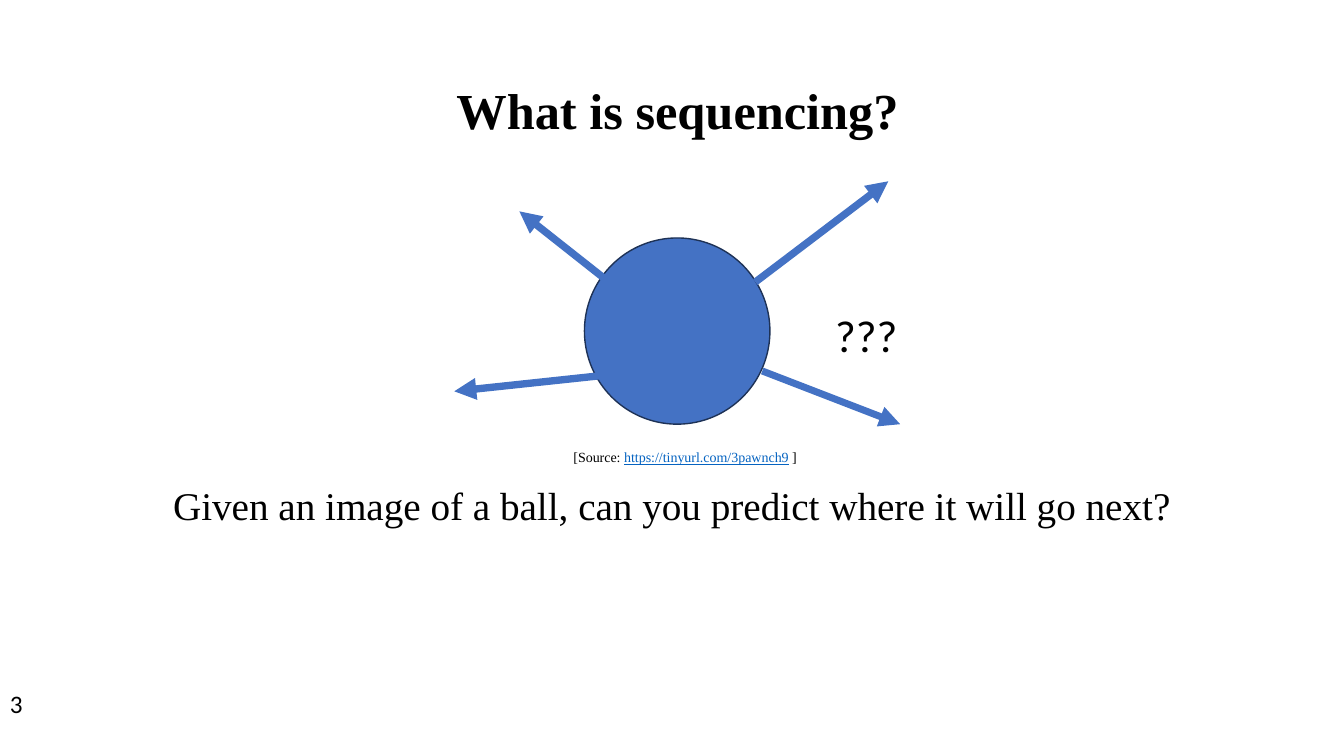
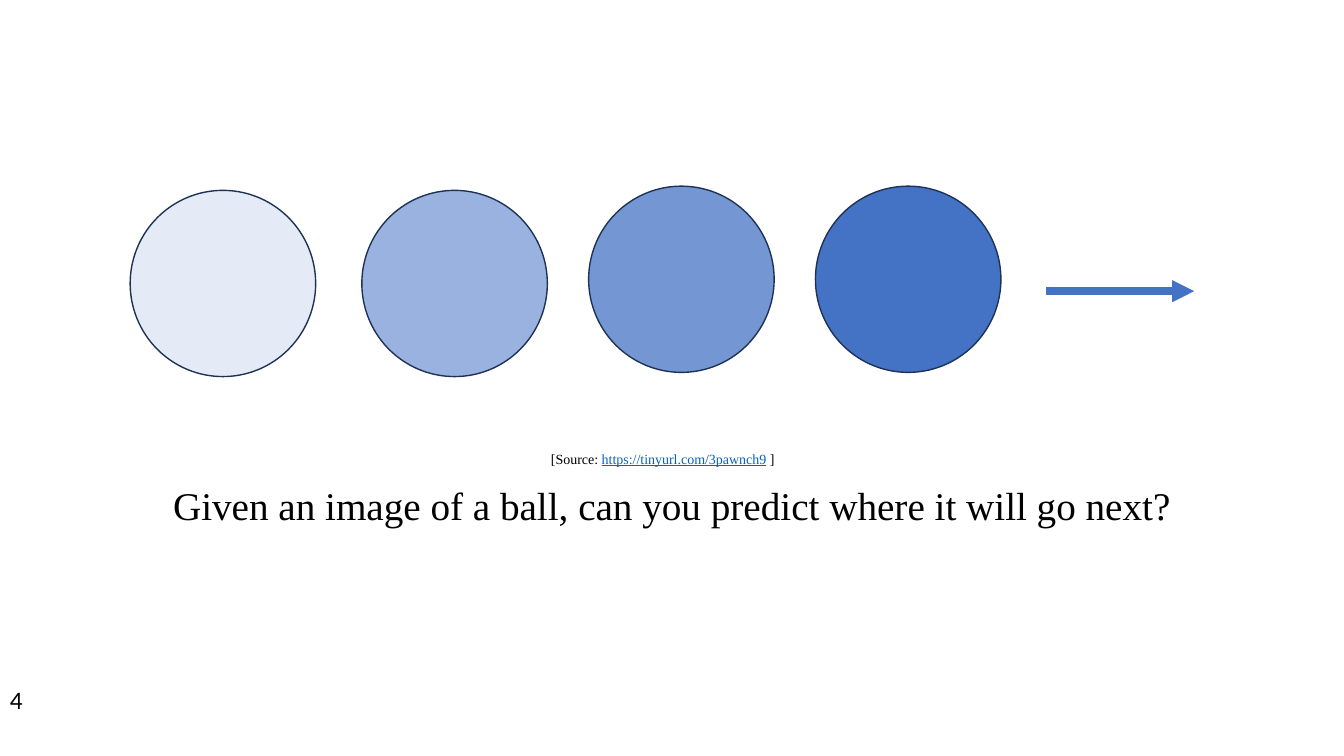
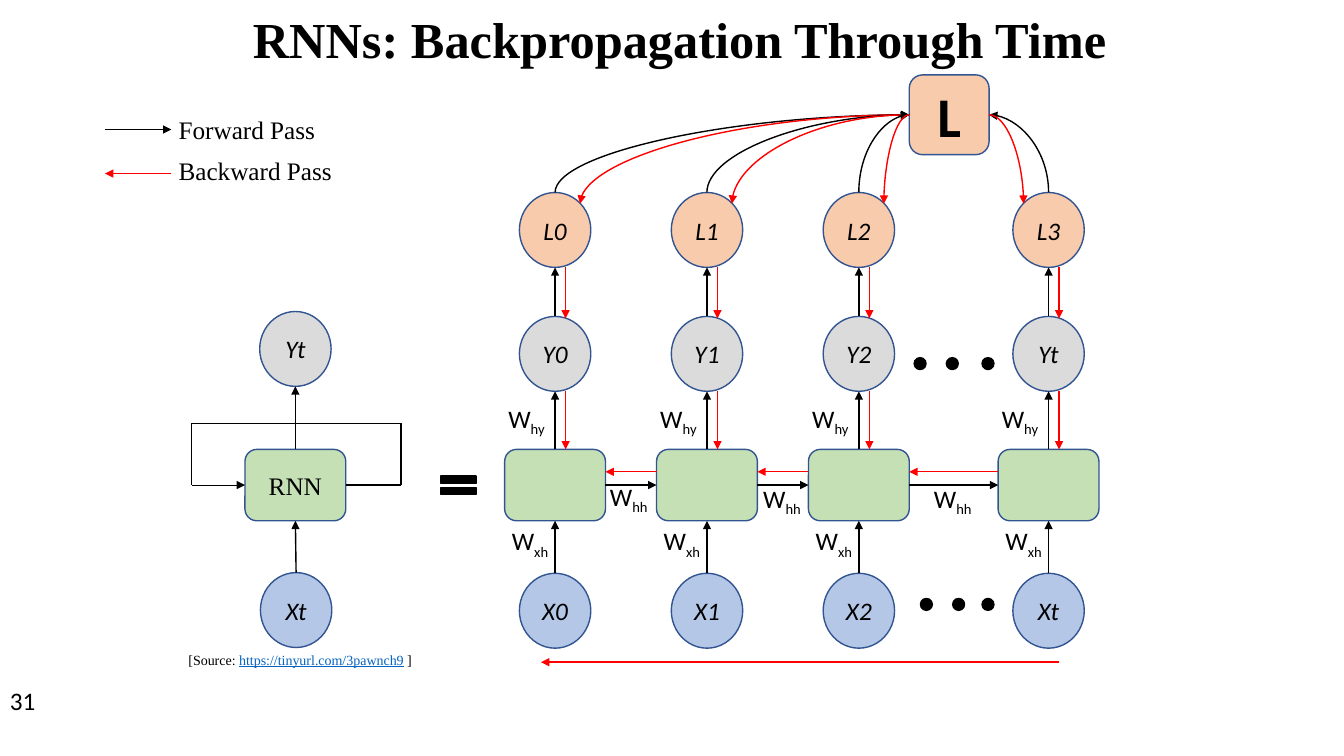
from pptx import Presentation
from pptx.dml.color import RGBColor
from pptx.enum import shapes, text
from pptx.oxml.ns import qn
from pptx.util import Pt
from lxml import etree

BLACK = RGBColor(0x00, 0x00, 0x00)
RED = RGBColor(0xFF, 0x00, 0x00)
LINK_BLUE = RGBColor(0x05, 0x63, 0xC1)
BALL_BLUE = RGBColor(0x44, 0x72, 0xC4)
BALL_EDGE = RGBColor(0x1E, 0x32, 0x56)
NODE_EDGE = RGBColor(0x32, 0x54, 0x91)
INPUT_BLUE = RGBColor(0xB4, 0xC7, 0xE7)
CELL_GREEN = RGBColor(0xC5, 0xE0, 0xB4)
OUTPUT_GREY = RGBColor(0xDB, 0xDB, 0xDB)
LOSS_ORANGE = RGBColor(0xF8, 0xCB, 0xAD)
SERIF, SANS = "Times New Roman", "Calibri"

OVAL = shapes.MSO_SHAPE.OVAL
ROUNDED = shapes.MSO_SHAPE.ROUNDED_RECTANGLE
STRAIGHT = shapes.MSO_CONNECTOR.STRAIGHT
CURVE = shapes.MSO_CONNECTOR.CURVE

QUESTION = "Given an image of a ball, can you predict where it will go next?"
SOURCE_URL = "https://tinyurl.com/3pawnch9"

BALL_SIZE = (132.5, 133)
BALL_ARROWS = [  # start, end, width
    ((432.5, 268), (324.5, 279.5), 5.25),
    ((544.5, 265), (643, 303), 5),
    ((539.5, 201.5), (634.5, 129.5), 5.25),
    ((435, 201.5), (371, 151), 5.25),
]
BALL_TRAIL = [(93, 136, 14), (258.5, 136, 54), (420.5, 133, 74), (582.5, 133, 100)]

NODE_SIZE, CELL_SIZE = (51, 53.5), (72, 51)
LOSS_TOP, OUTPUT_TOP, CELL_TOP, INPUT_TOP = 137.5, 226, 321, 409.5
STEPS = [  # centre, input, output, loss
    (396.5, "X0", "Y0", "L0"),
    (505, "X1", "Y1", "L1"),
    (613.5, "X2", "Y2", "L2"),
    (749, "Xt", "Yt", "L3"),
]
HIDDEN_WEIGHTS = [(428.5, 340), (538, 341.5), (660, 341.5)]
ELLIPSES = [(255.5, (653, 676, 701.5)), (427.5, (657.5, 680.5, 701.5))]
LEGEND = [  # label, label top, arrow start, arrow end, colour
    ("Forward Pass", 78, (75, 92.5), (122.5, 92.5), BLACK),
    ("Backward Pass", 107.5, (122.5, 124), (75, 124), RED),
]

# side: (x share, y share, site on a rectangle, site on an oval)
SIDES = {
    "top": (0.5, 0, 0, 0),
    "left": (0, 0.5, 1, 2),
    "bottom": (0.5, 1, 2, 4),
    "right": (1, 0.5, 3, 6),
    "top left": (0.15, 0.15, None, 1),
    "top right": (0.85, 0.15, None, 7),
}


def style(paragraph, size, font=SERIF, color=BLACK, bold=None, italic=None, align=None):
    paragraph.alignment = align
    paragraph.font.size = Pt(size)
    paragraph.font.name = font
    paragraph.font.color.rgb = color
    paragraph.font.bold = bold
    paragraph.font.italic = italic


def add_label(slide, left, top, width, height, words, size, wrap=True, **looks):
    frame = slide.shapes.add_textbox(Pt(left), Pt(top), Pt(width), Pt(height)).text_frame
    frame.word_wrap = wrap
    paragraph = frame.paragraphs[0]
    paragraph.add_run().text = words
    style(paragraph, size, **looks)
    return paragraph


def add_title(slide, words, left, top, width, height):
    title = slide.shapes.title
    title.left, title.top, title.width, title.height = map(Pt, (left, top, width, height))
    title.text_frame.text = words
    title.text_frame.vertical_anchor = text.MSO_ANCHOR.MIDDLE
    paragraph = title.text_frame.paragraphs[0]
    paragraph.line_spacing = 0.9
    style(paragraph, 36, bold=True, align=text.PP_ALIGN.CENTER)


def add_number(slide, number, top):
    add_label(slide, 0, top, 216, 29, number, 18, font=SANS)


def add_source(slide, left, top):
    paragraph = add_label(slide, left, top, 402, 19.5, "[Source: ", 10)
    address = paragraph.add_run()
    address.text = SOURCE_URL
    address.font.color.rgb = LINK_BLUE
    address.font.underline = True
    paragraph.add_run().text = " ]"


def add_question(slide):
    add_label(slide, 71.5, 340.5, 817, 41, QUESTION, 28, align=text.PP_ALIGN.CENTER)


def add_weight(slide, left, top, subscript):
    paragraph = add_label(slide, left, top, 43, 29, "W", 18, wrap=False, font=SANS)
    index = paragraph.add_run()
    index.text = subscript
    index.font._element.set("baseline", "-25000")


def add_figure(slide, preset, left, top, size, fill, edge):
    figure = slide.shapes.add_shape(preset, Pt(left), Pt(top), Pt(size[0]), Pt(size[1]))
    figure.shadow.inherit = False
    figure.fill.solid()
    figure.fill.fore_color.rgb = fill
    figure.line.color.rgb = edge
    figure.line.width = Pt(1)
    return figure


def add_ball(slide, left, top, opacity=100):
    ball = add_figure(slide, OVAL, left, top, BALL_SIZE, BALL_BLUE, BALL_EDGE)
    if opacity < 100:
        color = ball._element.spPr.find(qn("a:solidFill"))[0]
        etree.SubElement(color, qn("a:alpha")).set("val", str(opacity * 1000))


def add_node(slide, preset, center, top, size, fill, words="", points=18, **looks):
    node = add_figure(slide, preset, center - size[0] / 2, top, size, fill, NODE_EDGE)
    if words:
        frame = node.text_frame
        frame.margin_left = frame.margin_right = 0
        frame.vertical_anchor = text.MSO_ANCHOR.MIDDLE
        frame.text = words
        style(frame.paragraphs[0], points, align=text.PP_ALIGN.CENTER, **looks)
    return node


def add_circle(slide, center, top, fill, words):
    return add_node(slide, OVAL, center, top, NODE_SIZE, fill, words, font=SANS, italic=True)


def add_line(slide, start, end, color=BLACK, width=1, arrow="tailEnd", kind=STRAIGHT):
    line = slide.shapes.add_connector(kind, *map(Pt, (*start, *end)))
    line.line.color.rgb = color
    line.line.width = Pt(width)
    properties = line._element.spPr
    if arrow:
        etree.SubElement(properties.find(qn("a:ln")), qn("a:" + arrow)).set("type", "triangle")
    etree.SubElement(properties, qn("a:effectLst"))
    if kind == CURVE:
        properties.find(qn("a:prstGeom")).set("prst", "curvedConnector2")
    return line


def spot(figure, side):
    across, down = SIDES[side][:2]
    return (figure.left.pt + figure.width.pt * across,
            figure.top.pt + figure.height.pt * down)


def site(figure, side):
    return str(SIDES[side][3 if figure.auto_shape_type == OVAL else 2])


def link(slide, first, first_side, last, last_side, **looks):
    """Draw a line joined to a connection site of two figures."""
    start, end = spot(first, first_side), spot(last, last_side)
    line = add_line(slide, start, end, **looks)
    line.begin_connect(first, 0)
    line.end_connect(last, 0)
    line.begin_x, line.begin_y = map(Pt, start)
    line.end_x, line.end_y = map(Pt, end)
    for tag, figure, side in (("a:stCxn", first, first_side), ("a:endCxn", last, last_side)):
        next(line._element.iter(qn(tag))).set("idx", site(figure, side))


def add_folded_network(slide):
    output = add_circle(slide, 211, 222.5, OUTPUT_GREY, "Yt")
    cell = add_node(slide, ROUNDED, 211, CELL_TOP, CELL_SIZE, CELL_GREEN, "RNN")
    entry = add_circle(slide, 211.5, 409, INPUT_BLUE, "Xt")
    link(slide, cell, "top", output, "bottom")
    link(slide, entry, "top", cell, "bottom")

    loop = [spot(cell, "right"), (286.5, 346.5), (286.5, 302.5),
            (137, 302.5), (137, 346.5), spot(cell, "left")]
    sides = [add_line(slide, start, end, arrow=None) for start, end in zip(loop[:-2], loop[1:-1])]
    sides[0].begin_connect(cell, 3)
    add_line(slide, *loop[-2:], width=0.5).end_connect(cell, 1)


def add_unfolded_network(slide):
    total = add_node(slide, ROUNDED, 678, 53.5, (57, 57), LOSS_ORANGE, "L", 40,
                     font=SANS, bold=True)
    cells = []
    for center, entry_name, output_name, loss_name in STEPS:
        loss = add_circle(slide, center, LOSS_TOP, LOSS_ORANGE, loss_name)
        output = add_circle(slide, center, OUTPUT_TOP, OUTPUT_GREY, output_name)
        cell = add_node(slide, ROUNDED, center, CELL_TOP, CELL_SIZE, CELL_GREEN)
        entry = add_circle(slide, center, INPUT_TOP, INPUT_BLUE, entry_name)
        cells.append(cell)

        link(slide, entry, "top", cell, "bottom")
        link(slide, cell, "top", output, "bottom")
        link(slide, output, "top", loss, "bottom")
        near, far = ("left", "top right") if center < 678 else ("right", "top left")
        link(slide, total, near, loss, "top", arrow="headEnd", kind=CURVE)
        link(slide, total, near, loss, far, color=RED, kind=CURVE)

        for start, end in ((191, 227.5), (279.5, CELL_TOP)):
            add_line(slide, (center + 7.5, start), (center + 7.5, end), RED)
        add_weight(slide, center - 40.5, 284.5, "hy")
        add_weight(slide, center - 38, 372, "xh")

    for cell, following, weight_at in zip(cells, cells[1:], HIDDEN_WEIGHTS):
        link(slide, cell, "right", following, "left")
        add_line(slide, (following.left.pt, 337), (spot(cell, "right")[0], 337), RED)
        add_weight(slide, *weight_at, "hh")
    add_line(slide, (756.5, 473), (386.5, 473), RED, 1.5)

    for top, lefts in ELLIPSES:
        for left in lefts:
            add_figure(slide, shapes.MSO_SHAPE.FLOWCHART_CONNECTOR, left, top,
                       (8.5, 8.5), BLACK, BLACK)


def build_sequencing(slide):
    add_title(slide, "What is sequencing?", 24, 29, 920, 104)
    add_number(slide, "3", 488)
    add_ball(slide, 417.5, 170)
    add_question(slide)
    for start, end, width in BALL_ARROWS:
        add_line(slide, start, end, BALL_BLUE, width)
    add_label(slide, 589.5, 216, 67.5, 46, "???", 32, font=SANS)
    add_source(slide, 402.5, 317)


def build_trail(slide):
    add_number(slide, "4", 485)
    for left, top, opacity in BALL_TRAIL:
        add_ball(slide, left, top, opacity)
    add_question(slide)
    add_line(slide, (747.5, 208), (853, 208), BALL_BLUE, 5.25)
    add_source(slide, 386.5, 318)


def build_backpropagation(slide):
    add_title(slide, "RNNs: Backpropagation Through Time", 71.5, -12.5, 828, 85)
    add_folded_network(slide)
    add_figure(slide, shapes.MSO_SHAPE.MATH_EQUAL, 310.5, 335.5, (34, 22.5), BLACK, BLACK)
    add_unfolded_network(slide)
    for label, top, start, end, color in LEGEND:
        add_label(slide, 120.5, top, 140, 29, label, 18)
        add_line(slide, start, end, color)
    add_number(slide, "31", 486)
    add_source(slide, 127.5, 461.5)


def main():
    deck = Presentation()
    deck.slide_width, deck.slide_height = Pt(960), Pt(540)
    title_only, blank = deck.slide_layouts[5], deck.slide_layouts[6]
    for layout, build in ((title_only, build_sequencing), (blank, build_trail),
                          (title_only, build_backpropagation)):
        build(deck.slides.add_slide(layout))
    deck.save("out.pptx")


if __name__ == "__main__":
    main()
